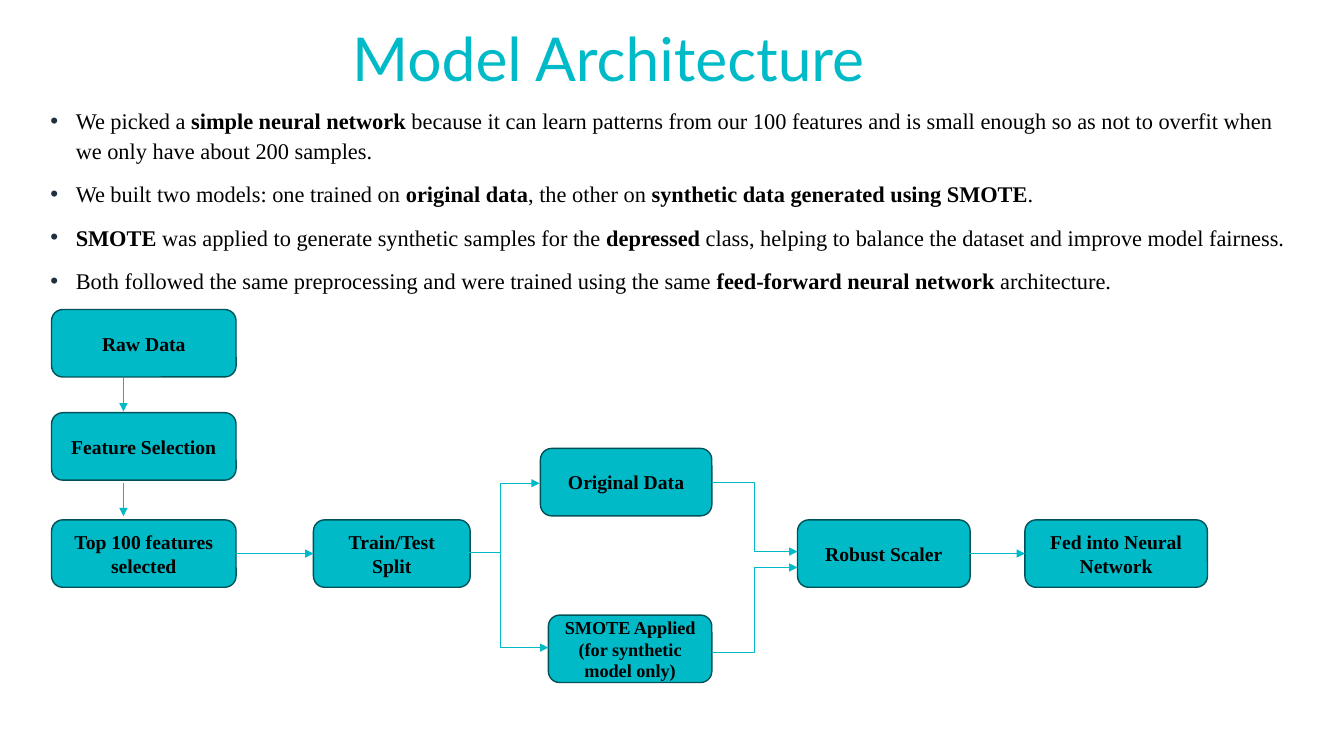
from pptx import Presentation
from pptx.dml.color import RGBColor
from pptx.enum.shapes import MSO_CONNECTOR, MSO_SHAPE
from pptx.enum.text import MSO_ANCHOR, PP_ALIGN
from pptx.oxml.ns import qn
from pptx.util import Cm, Pt
from lxml.etree import SubElement

THEME = {
    "teal": RGBColor.from_string("00BAC8"),
    "outline": RGBColor.from_string("005258"),
    "black": RGBColor.from_string("000000"),
    "bullet": "203040",
    "title_font": "Lato",
    "text_font": "Times New Roman",
    "title_size": Pt(43.2),
    "body_size": Pt(16),
    "box_size": Pt(14),
    "small_box_size": Pt(13),
}


def format_run(run, font_name, size, color, bold=False):
    run.font.name = font_name
    run.font.size = size
    run.font.color.rgb = color
    run.font.bold = bold


def add_arrow(kind, start_x, start_y, end_x, end_y):
    arrow = slide.shapes.add_connector(kind, Cm(start_x), Cm(start_y), Cm(end_x), Cm(end_y))
    arrow.line.color.rgb = THEME["teal"]
    arrow.line.width = Pt(0.5)
    SubElement(arrow.line._get_or_add_ln(), qn("a:tailEnd"), type="triangle")
    SubElement(arrow._element.spPr, qn("a:effectLst"))
    return arrow


presentation = Presentation()
presentation.slide_width = Cm(33.87)
presentation.slide_height = Cm(19.05)
slide = presentation.slides.add_slide(presentation.slide_layouts[6])

title = slide.shapes.add_textbox(Cm(6.86), Cm(0.36), Cm(16.94), Cm(2.18))
title.text_frame.word_wrap = True
title.text_frame.vertical_anchor = MSO_ANCHOR.MIDDLE
title.text_frame.text = "Model Architecture"
title_paragraph = title.text_frame.paragraphs[0]
title_paragraph.alignment = PP_ALIGN.CENTER
format_run(title_paragraph.runs[0], THEME["title_font"], THEME["title_size"], THEME["teal"])

bullets = [
    "We picked a **simple neural network **because it can learn patterns from our 100 features "
    "and is small enough so as not to overfit when we only have about 200 samples.",
    "We built two models: one trained on **original data**, the other on "
    "**synthetic data generated using SMOTE**.",
    "**SMOTE** was applied to generate synthetic samples for the **depressed** class, "
    "helping to balance the dataset and improve model fairness.",
    "Both followed the same preprocessing and were trained using the same "
    "**feed-forward neural network** architecture.",
]
body = slide.shapes.add_textbox(Cm(1.02), Cm(2.51), Cm(31.78), Cm(4.88))
body.text_frame.word_wrap = True
for index, bullet in enumerate(bullets):
    paragraph = body.text_frame.paragraphs[0] if index == 0 else body.text_frame.add_paragraph()
    paragraph.line_spacing = 1.1
    paragraph.space_before = Pt(10)
    properties = paragraph._p.get_or_add_pPr()
    properties.set("marL", str(Cm(0.64)))
    properties.set("indent", str(-Cm(0.64)))
    bullet_color = SubElement(properties, qn("a:buClr"))
    SubElement(bullet_color, qn("a:srgbClr"), val=THEME["bullet"])
    SubElement(properties, qn("a:buFont"), typeface="Arial")
    SubElement(properties, qn("a:buChar"), char="•")
    for position, piece in enumerate(bullet.split("**")):
        if piece:
            run = paragraph.add_run()
            run.text = piece
            format_run(run, THEME["text_font"], THEME["body_size"], THEME["black"], position % 2 == 1)

main_row = 13.1
box_height = 1.7
steps = [
    ("Raw Data", 1.3, 7.8, 4.65, "box_size"),
    ("Feature Selection", 1.3, 10.4, 4.65, "box_size"),
    ("Top 100 features selected", 1.3, main_row, 4.65, "box_size"),
    ("Train/Test Split", 7.9, main_row, 3.95, "box_size"),
    ("Original Data", 13.62, 11.3, 4.32, "box_size"),
    ("SMOTE Applied (for synthetic model only)", 13.82, 15.5, 4.12, "small_box_size"),
    ("Robust Scaler", 20.1, main_row, 4.35, "box_size"),
    ("Fed into Neural Network", 25.83, main_row, 4.6, "box_size"),
]
boxes = {}
for label, left, top, width, size in steps:
    box = slide.shapes.add_shape(
        MSO_SHAPE.FLOWCHART_ALTERNATE_PROCESS, Cm(left), Cm(top), Cm(width), Cm(box_height)
    )
    box.shadow.inherit = False
    box.fill.solid()
    box.fill.fore_color.rgb = THEME["teal"]
    box.line.color.rgb = THEME["outline"]
    box.line.width = Pt(1)
    box.text_frame.word_wrap = True
    box.text_frame.vertical_anchor = MSO_ANCHOR.MIDDLE
    box.text_frame.text = label
    paragraph = box.text_frame.paragraphs[0]
    paragraph.alignment = PP_ALIGN.CENTER
    format_run(paragraph.runs[0], THEME["text_font"], THEME[size], THEME["black"], True)
    boxes[label] = box

for start_y, end_y in [(9.53, 10.37), (12.17, 13.01)]:
    add_arrow(MSO_CONNECTOR.STRAIGHT, 3.11, start_y, 3.11, end_y)

middle = main_row + box_height / 2
for source, target, start_x, end_x in [
    ("Top 100 features selected", "Train/Test Split", 5.95, 7.9),
    ("Robust Scaler", "Fed into Neural Network", 24.45, 25.83),
]:
    arrow = add_arrow(MSO_CONNECTOR.STRAIGHT, start_x, middle, end_x, middle)
    arrow.begin_connect(boxes[source], 3)
    arrow.end_connect(boxes[target], 1)

for bend in [
    (11.4, 13.93, 13.82, 16.32),
    (11.63, 13.93, 13.6, 12.18),
    (17.94, 12.15, 20.1, 13.9),
    (17.94, 16.44, 20.1, 14.3),
]:
    add_arrow(MSO_CONNECTOR.ELBOW, *bend)

presentation.save("out.pptx")
